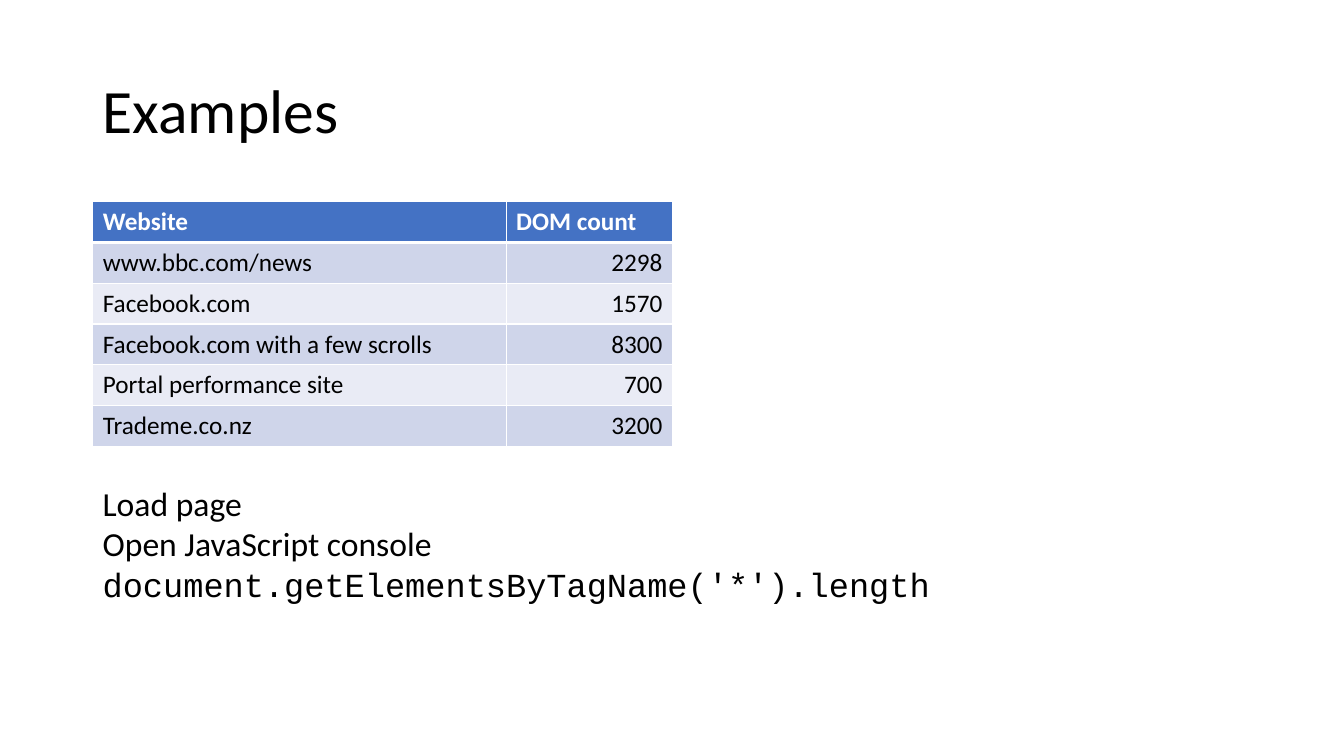
from dataclasses import dataclass

import pptx
import pptx.dml.color
import pptx.enum.text
import pptx.oxml
import pptx.oxml.ns
import pptx.util
from pptx.util import Inches, Pt

BLACK = pptx.dml.color.RGBColor(0x00, 0x00, 0x00)
WHITE = pptx.dml.color.RGBColor(0xFF, 0xFF, 0xFF)
HEADER_BLUE = pptx.dml.color.RGBColor(0x44, 0x72, 0xC4)
BANDS = (
    pptx.dml.color.RGBColor(0xCF, 0xD5, 0xEA),
    pptx.dml.color.RGBColor(0xE9, 0xEB, 0xF5),
)
BODY_FONT = "Calibri"
CODE_FONT = "Courier New"
LEFT = Inches(0.92)
COLUMN_WIDTHS = (Inches(4.1), Inches(1.65))
ROW_HEIGHT = Inches(0.405)


@dataclass
class Site:
    name: str
    dom_count: int


@dataclass
class Step:
    text: str
    font: str = BODY_FONT


SITES = [
    Site("www.bbc.com/news", 2298),
    Site("Facebook.com", 1570),
    Site("Facebook.com with a few scrolls", 8300),
    Site("Portal performance site", 700),
    Site("Trademe.co.nz", 3200),
]
STEPS = [
    Step("Load page"),
    Step("Open JavaScript console"),
    Step("document.getElementsByTagName('*').length", CODE_FONT),
]


def style_runs(paragraph, size: float, color=BLACK, font: str = BODY_FONT, bold: bool = False) -> None:
    for run in paragraph.runs:
        run.font.name = font
        run.font.size = Pt(size)
        run.font.color.rgb = color
        run.font.bold = bold


def add_borders(cell, top: float, bottom: float) -> None:
    """Draw white borders, with the top and bottom widths in points."""
    properties = cell._tc.get_or_add_tcPr()
    for side, width in (("L", 1), ("R", 1), ("T", top), ("B", bottom)):
        properties.append(pptx.oxml.parse_xml(
            f'<a:ln{side} {pptx.oxml.ns.nsdecls("a")} w="{Pt(width)}">'
            f'<a:solidFill><a:srgbClr val="{WHITE}"/></a:solidFill></a:ln{side}>'
        ))


def add_title(slide) -> None:
    title = slide.shapes.add_textbox(LEFT, Inches(0.4), Inches(11.5), Inches(1.45))
    frame = title.text_frame
    frame.word_wrap = True
    frame.vertical_anchor = pptx.enum.text.MSO_ANCHOR.MIDDLE
    frame.text = "Examples"
    frame.paragraphs[0].line_spacing = 0.9
    style_runs(frame.paragraphs[0], 44)


def add_site_table(slide) -> None:
    rows = [("Website", "DOM count")] + [(site.name, str(site.dom_count)) for site in SITES]
    table = slide.shapes.add_table(
        len(rows), len(COLUMN_WIDTHS), LEFT, Inches(2), sum(COLUMN_WIDTHS), ROW_HEIGHT * len(rows)
    ).table
    for column, width in zip(table.columns, COLUMN_WIDTHS):
        column.width = width
    for row_index, row in enumerate(rows):
        is_header = row_index == 0
        table.rows[row_index].height = ROW_HEIGHT
        for column_index, text in enumerate(row):
            cell = table.cell(row_index, column_index)
            add_borders(cell, top=3 if row_index == 1 else 1, bottom=3 if is_header else 1)
            cell.fill.solid()
            cell.fill.fore_color.rgb = HEADER_BLUE if is_header else BANDS[(row_index - 1) % 2]
            cell.text_frame.text = text
            paragraph = cell.text_frame.paragraphs[0]
            if column_index == 1 and not is_header:
                paragraph.alignment = pptx.enum.text.PP_ALIGN.RIGHT
            style_runs(paragraph, 18, WHITE if is_header else BLACK, bold=is_header)


def add_steps(slide) -> None:
    steps = slide.shapes.add_textbox(LEFT, Inches(4.74), Inches(8.47), Inches(1.31))
    frame = steps.text_frame
    frame.word_wrap = False
    frame.auto_size = pptx.enum.text.MSO_AUTO_SIZE.SHAPE_TO_FIT_TEXT
    frame.text = "\n".join(step.text for step in STEPS)
    for paragraph, step in zip(frame.paragraphs, STEPS):
        style_runs(paragraph, 24, font=step.font)


def main() -> None:
    presentation = pptx.Presentation()
    presentation.slide_width = Inches(13.33)
    presentation.slide_height = Inches(7.5)
    slide = presentation.slides.add_slide(presentation.slide_layouts[6])
    add_title(slide)
    add_site_table(slide)
    add_steps(slide)
    presentation.save("out.pptx")


if __name__ == "__main__":
    main()
